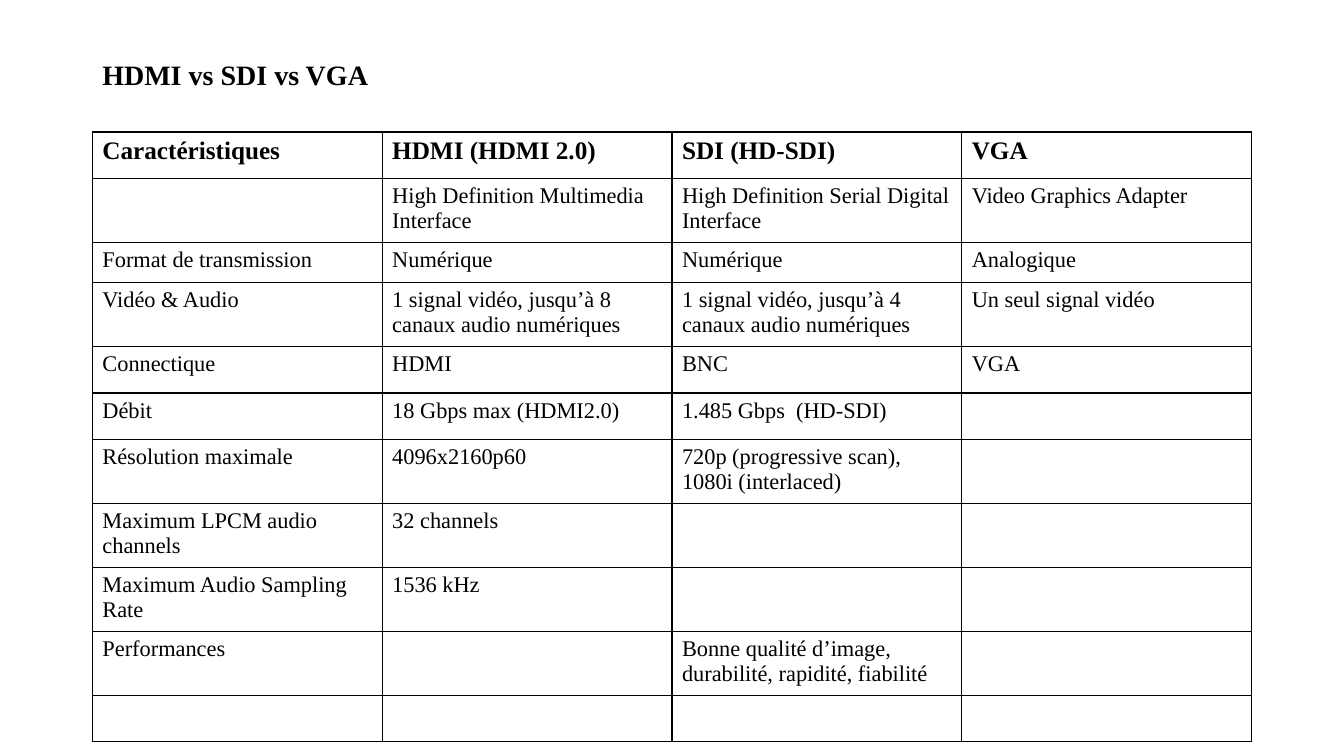
"""Build a slide that compares the HDMI, SDI and VGA video links."""
from lxml import etree
from pptx import Presentation
from pptx.dml.color import RGBColor
from pptx.enum import text
from pptx.oxml import ns
from pptx.util import Pt

TITLE = "HDMI vs SDI vs VGA"
ROWS = [
    ("Caractéristiques", "HDMI (HDMI 2.0)", "SDI (HD-SDI)", "VGA"),
    ("", "High Definition Multimedia Interface",
     "High Definition Serial Digital Interface", "Video Graphics Adapter"),
    ("Format de transmission", "Numérique", "Numérique", "Analogique"),
    ("Vidéo & Audio", "1 signal vidéo, jusqu’à 8 canaux audio numériques",
     "1 signal vidéo, jusqu’à 4 canaux audio numériques", "Un seul signal vidéo"),
    ("Connectique", "HDMI", "BNC", "VGA"),
    ("Débit", "18 Gbps max (HDMI2.0)", "1.485 Gbps  (HD-SDI)", ""),
    ("Résolution maximale", "4096x2160p60",
     "720p (progressive scan), 1080i (interlaced)", ""),
    ("Maximum LPCM audio channels", "32 channels", "", ""),
    ("Maximum Audio Sampling Rate", "1536 kHz", "", ""),
    ("Performances", "", "Bonne qualité d’image, durabilité, rapidité, fiabilité", ""),
    ("", "", "", ""),
]
COLORS = {"ink": "000000"}
FACE = "Times New Roman"
LEFT, WIDTH = 66, 828
ROW_H = 33.4
TALL = {1: 44.1, 2: 28.4}


def style(para, size, bold):
    font = para.font
    font.name, font.size, font.bold = FACE, Pt(size), bold
    font.color.rgb = RGBColor.from_string(COLORS["ink"])


def border(cell):
    props = cell._tc.get_or_add_tcPr()
    for side in ("lnL", "lnR", "lnT", "lnB"):
        line = etree.SubElement(props, ns.qn(f"a:{side}"), w=str(Pt(1)))
        fill = etree.SubElement(line, ns.qn("a:solidFill"))
        etree.SubElement(fill, ns.qn("a:srgbClr"), val=COLORS["ink"])


def add_title(slide):
    box = slide.shapes.add_textbox(Pt(LEFT), Pt(28.8), Pt(WIDTH), Pt(51))
    frame = box.text_frame
    frame.word_wrap = True
    frame.vertical_anchor = text.MSO_ANCHOR.MIDDLE
    para = frame.paragraphs[0]
    para.text = TITLE
    para.line_spacing = 0.9
    style(para, 20, True)


def add_grid(slide):
    count, cols = len(ROWS), len(ROWS[0])
    highs = [TALL.get(i, ROW_H) for i in range(count)]
    table = slide.shapes.add_table(
        count, cols, Pt(LEFT), Pt(94.3), Pt(WIDTH), Pt(sum(highs))).table
    table.first_row = table.horz_banding = False
    for i, (row, high) in enumerate(zip(ROWS, highs)):
        table.rows[i].height = Pt(high)
        for j, words in enumerate(row):
            cell = table.cell(i, j)
            border(cell)
            cell.fill.background()
            para = cell.text_frame.paragraphs[0]
            para.text = words
            style(para, 16 if i else 18, i == 0)


def main():
    deck = Presentation()
    deck.slide_width, deck.slide_height = Pt(960), Pt(540)
    slide = deck.slides.add_slide(deck.slide_layouts[6])
    add_title(slide)
    add_grid(slide)
    deck.save("out.pptx")


if __name__ == "__main__":
    main()
